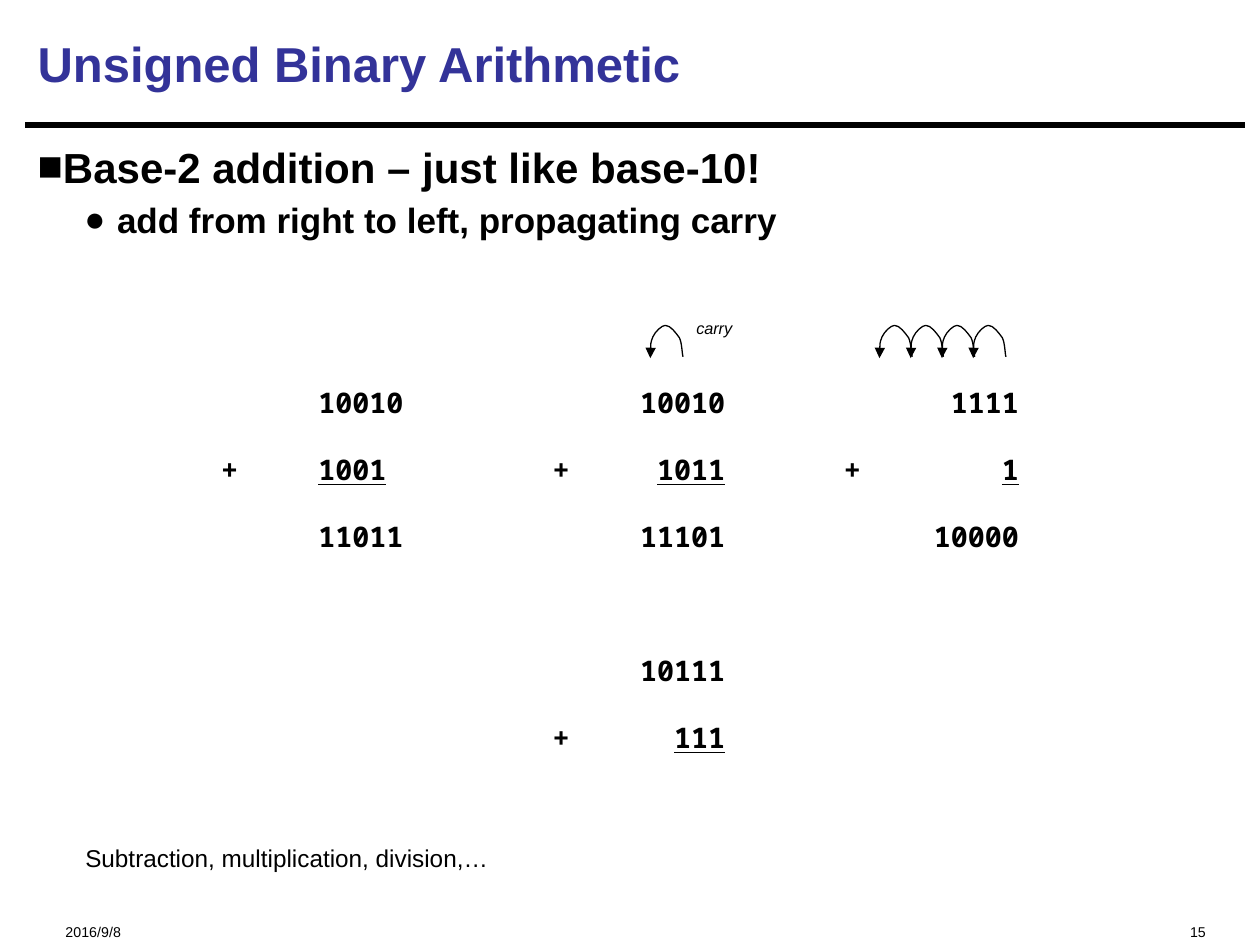
from lxml.etree import SubElement
from pptx import Presentation
from pptx.dml.color import RGBColor
from pptx.enum.shapes import MSO_CONNECTOR as CONN
from pptx.enum.text import MSO_ANCHOR as ANCHOR, PP_ALIGN as ALIGN
from pptx.oxml.ns import qn
from pptx.util import Cm, Pt

BLACK = RGBColor(0x00, 0x00, 0x00)
NAVY = RGBColor(0x33, 0x33, 0x99)
SUBSCRIPT = "-25000"
SUM_PITCH = Pt(38.3)
SUM_TABS = ((1.22, "l"), (3.18, "l"), (7.9, "l"),
            (11.38, "r"), (13.77, "l"), (17.3, "r"))
# Every second piece of a row is underlined
SUM_ROWS = (("\t\t10010\t\t10010\t\t1111",),
            ("\t+", "\t1001", "\t+", "\t1011", "\t+", "\t1"),
            ("\t\t11011\t\t11101\t\t10000",),
            ("\t\t\t\t10111",),
            ("\t\t\t+", "\t111"))
# Bezier points of one carry arc in a unit box: a start, then three per curve
ARC = ((1, 0.96),
       (0.97, 0.88), (0.97, 0.54), (0.89, 0.38),
       (0.78, 0.23), (0.62, 0), (0.46, 0),
       (0.35, 0), (0.15, 0.19), (0.08, 0.35),
       (0, 0.54), (0, 0.85), (0, 1))


def add_run(p, text, size, color=BLACK, name="Arial", sub=False, **formats):
    """Append a formatted run, optionally lowered as a subscript."""
    r = p.add_run()
    r.text = text
    for key, value in dict(formats, size=Pt(size), name=name).items():
        setattr(r.font, key, value)
    r.font.color.rgb = color
    if sub:
        r.font._element.set("baseline", SUBSCRIPT)


def add_box(slide, box, anchor=ANCHOR.TOP):
    """Add a wrapping text box and return its text frame."""
    tf = slide.shapes.add_textbox(*map(Cm, box)).text_frame
    tf.word_wrap = True
    tf.vertical_anchor = anchor
    return tf


def add_label(slide, box, text, size, align=ALIGN.LEFT, anchor=ANCHOR.TOP, **formats):
    """Add a text box that holds one line."""
    p = add_box(slide, box, anchor).paragraphs[0]
    p.alignment = align
    add_run(p, text, size, **formats)


def add_header(slide, box):
    """Add the title and the rule below it."""
    left, top, width, height = box
    y = Cm(top + height + 0.19)
    rule = slide.shapes.add_connector(CONN.STRAIGHT, Cm(left), y,
                                      Cm(left + width + 0.03), y)
    rule.line.color.rgb = BLACK
    rule.line.width = Pt(3.75)
    SubElement(rule._element.spPr, qn("a:effectLst"))
    add_label(slide, box, "Unsigned Binary Arithmetic", 28,
              anchor=ANCHOR.MIDDLE, color=NAVY, bold=True)


def add_bullets(slide, box):
    """Add the two bulleted levels."""
    items = (("Base-2 addition \u2013 just like base-10!", 24, 0, 0, 0, "\u25a0"),
             ("add from right to left, propagating carry", 20, 1, 1.6, -0.66, "\u25cf"))
    tf = add_box(slide, box)
    for i, (text, size, level, margin, indent, mark) in enumerate(items):
        p = tf.add_paragraph() if i else tf.paragraphs[0]
        p.level = level
        p.space_before = Pt(size * 0.2)
        pPr = p._p.get_or_add_pPr()
        pPr.set("marL", str(Cm(margin)))
        pPr.set("indent", str(Cm(indent)))
        SubElement(pPr, qn("a:buFont")).set("typeface", "Arial")
        SubElement(pPr, qn("a:buChar")).set("char", mark)
        add_run(p, text, size, bold=True)


def add_sums(slide, box):
    """Add the binary sums, aligned by tab stops."""
    tf = add_box(slide, box)
    for i, row in enumerate(SUM_ROWS):
        p = tf.add_paragraph() if i else tf.paragraphs[0]
        p.line_spacing = SUM_PITCH
        if i == 3:
            p.space_before = SUM_PITCH
        tabs = SubElement(p._p.get_or_add_pPr(), qn("a:tabLst"))
        for pos, align in SUM_TABS:
            tab = SubElement(tabs, qn("a:tab"))
            tab.set("pos", str(Cm(pos)))
            tab.set("algn", align)
        for n, piece in enumerate(row):
            add_run(p, piece, 28, name="Noto Sans Mono", sub=True, bold=True,
                    underline=n % 2 == 1)


def add_carry(slide, left, top, size=0.66):
    """Add one curved carry arrow that points down at its left end."""
    points = [(Cm(left + x * size), Cm(top + y * size)) for x, y in ARC]
    builder = slide.shapes.build_freeform(*points[0])
    builder.add_line_segments(points[1:], close=False)
    sp = builder.convert_to_shape()
    path = next(sp._element.iter(qn("a:path")))
    lines = path.findall(qn("a:lnTo"))
    for n in range(0, len(lines), 3):
        curve = SubElement(path, qn("a:cubicBezTo"))
        for line in lines[n:n + 3]:
            curve.append(line[0])
            path.remove(line)
    sp.shadow.inherit = False
    sp.fill.background()
    sp.line.color.rgb = BLACK
    sp.line.width = Pt(0.75)
    SubElement(sp.line._get_or_add_ln(), qn("a:tailEnd")).set("type", "triangle")


def add_footer(slide, left, top, width, height):
    """Add the date and the slide number."""
    add_label(slide, (left, top, 6.35, height), "2016/9/8", 14, sub=True)
    add_label(slide, (left + width - 7.62, top, 7.62, height), "15", 14,
              align=ALIGN.RIGHT, sub=True)


def build():
    """Build and save the slide."""
    prs = Presentation()
    prs.slide_width, prs.slide_height = Cm(25.4), Cm(19.05)
    slide = prs.slides.add_slide(prs.slide_layouts[6])
    add_header(slide, (0.51, 0.2, 24.56, 2.13))
    add_footer(slide, 1.07, 18.16, 23.49, 0.69)
    add_bullets(slide, (0.51, 2.72, 24.56, 3.63))
    add_sums(slide, (2.99, 6.98, 19.89, 7.37))
    add_carry(slide, 13.11, 6.56)
    add_label(slide, (13.51, 5.92, 1.78, 0.94), "carry", 16,
              align=ALIGN.CENTER, sub=True, italic=True)
    for i in reversed(range(4)):
        add_carry(slide, 17.73 + 0.63 * i, 6.56)
    add_label(slide, (1.47, 16.31, 14.55, 1.27),
              "Subtraction, multiplication, division,\u2026", 24, sub=True)
    prs.save("out.pptx")


build()
